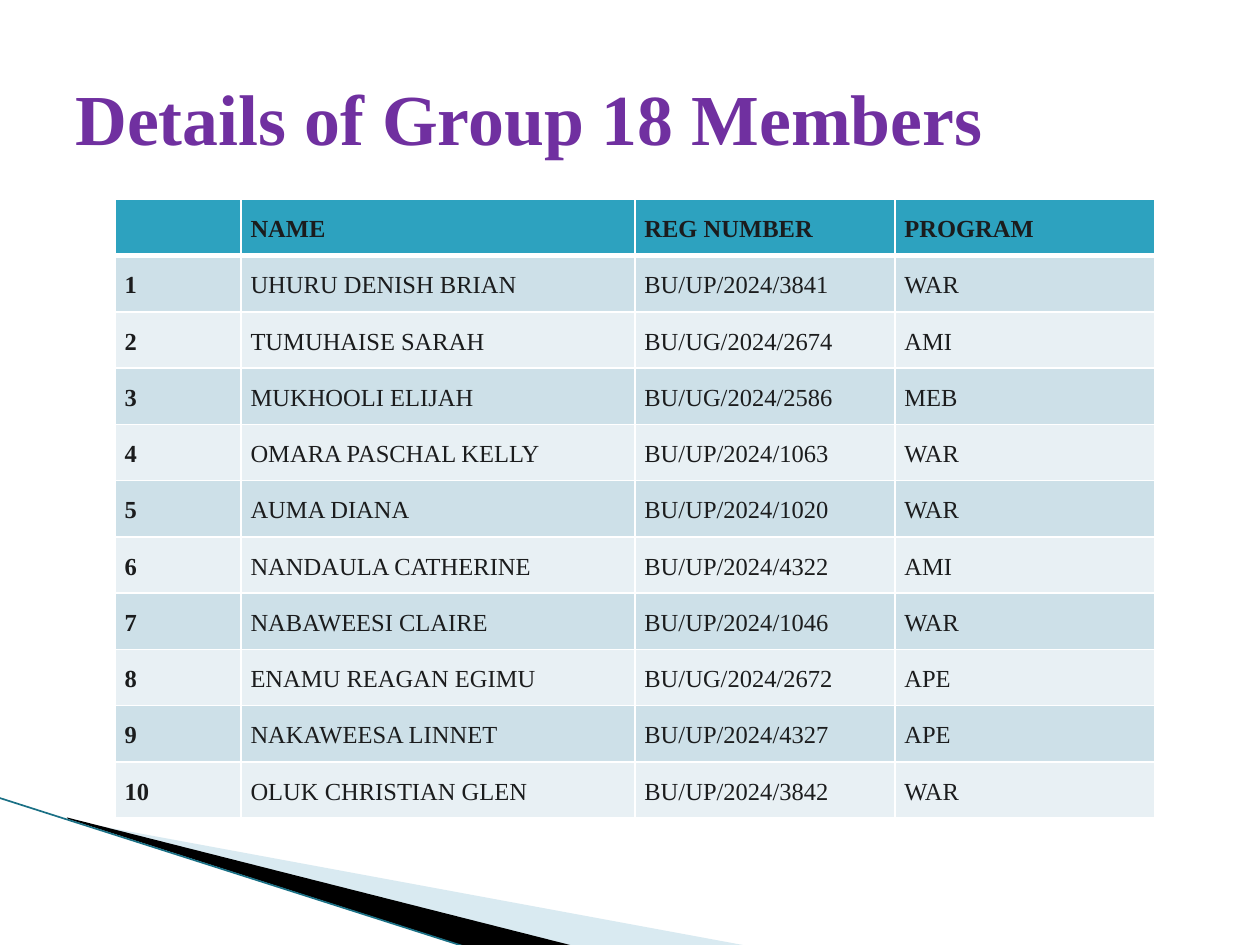
from dataclasses import dataclass

from lxml.etree import SubElement
from pptx import Presentation
from pptx.dml.color import RGBColor
from pptx.enum.shapes import MSO_CONNECTOR as Connector
from pptx.enum.text import MSO_ANCHOR as Anchor
from pptx.oxml import parse_xml
from pptx.oxml.ns import nsdecls, qn
from pptx.util import Cm, Pt


@dataclass(frozen=True)
class Theme:
    font: str = "Times New Roman"
    title_size: float = 41
    table_size: float = 14
    title: str = "7030A0"
    ink: str = "1B1C1D"
    header: str = "2DA2BF"
    bands: tuple = ("CDE0E8", "E8F0F4")
    rule: str = "FFFFFF"
    pale_wedge: str = "A0CBDC"
    dark_wedge: str = "000000"
    edge: str = "1A7085"


@dataclass(frozen=True)
class Box:
    left: float
    top: float
    width: float
    height: float


THEME = Theme()
HEADINGS = ("", "NAME", "REG NUMBER", "PROGRAM")
MEMBERS = (
    ("UHURU DENISH BRIAN", "BU/UP/2024/3841", "WAR"),
    ("TUMUHAISE SARAH", "BU/UG/2024/2674", "AMI"),
    ("MUKHOOLI ELIJAH", "BU/UG/2024/2586", "MEB"),
    ("OMARA PASCHAL KELLY", "BU/UP/2024/1063", "WAR"),
    ("AUMA DIANA", "BU/UP/2024/1020", "WAR"),
    ("NANDAULA CATHERINE", "BU/UP/2024/4322", "AMI"),
    ("NABAWEESI CLAIRE", "BU/UP/2024/1046", "WAR"),
    ("ENAMU REAGAN EGIMU", "BU/UG/2024/2672", "APE"),
    ("NAKAWEESA LINNET", "BU/UP/2024/4327", "APE"),
    ("OLUK CHRISTIAN GLEN", "BU/UP/2024/3842", "WAR"),
)
COLUMN_WIDTHS = (2.54, 7.94, 5.24, 5.24)


def write_text(frame, text, *, size, color, bold=False, spacing=1.0):
    paragraph = frame.paragraphs[0]
    paragraph.line_spacing = spacing
    run = paragraph.add_run()
    run.text = text
    run.font.name = THEME.font
    run.font.size = Pt(size)
    run.font.bold = bold
    run.font.color.rgb = RGBColor.from_string(color)


def set_frame(shape, frame):
    """Give a freeform a new frame while its outline stays in place."""
    shift_x = shape.left - Cm(frame.left)
    shift_y = shape.top - Cm(frame.top)
    shape.left, shape.top = Cm(frame.left), Cm(frame.top)
    shape.width, shape.height = Cm(frame.width), Cm(frame.height)
    outline = next(shape._element.iter(qn("a:path")))
    outline.set("w", str(shape.width))
    outline.set("h", str(shape.height))
    for point in outline.iter(qn("a:pt")):
        point.set("x", str(int(point.get("x")) + shift_x))
        point.set("y", str(int(point.get("y")) + shift_y))


def add_wedge(slide, box, points, frame, color, opacity=100):
    corners = [(Cm(box.left + x), Cm(box.top + y)) for x, y in points]
    builder = slide.shapes.build_freeform(*corners[0], scale=1.0)
    builder.add_line_segments(corners[1:], close=True)
    shape = builder.convert_to_shape()
    set_frame(shape, frame)
    shape.shadow.inherit = False
    shape.line.fill.background()
    shape.fill.solid()
    shape.fill.fore_color.rgb = RGBColor.from_string(color)
    if opacity < 100:
        color_node = shape.fill._xPr.find(qn("a:solidFill"))[0]
        SubElement(color_node, qn("a:alpha"), val=str(opacity * 1000))


def add_corner(slide, box):
    """Two thin wedges and an edge line across the lower left corner."""
    add_wedge(slide, box, ((1.4, 0.46), (15.13, 3), (11.58, 3), (1.4, 0.43)),
              Box(box.left + 1.98, box.top - 2.19, 10.57, 4.01),
              THEME.pale_wedge, opacity=40)
    add_wedge(slide, box, ((1.35, 0.4), (11.61, 3), (9.45, 3.02), (1.37, 0.43)),
              Box(box.left - 0.15, box.top, 10.57, 2.34), THEME.dark_wedge)
    edge = slide.shapes.add_connector(
        Connector.STRAIGHT, Cm(box.left - 0.03), Cm(box.top),
        Cm(box.left + 9.42), Cm(box.top + 3.02))
    edge.line.width = Pt(0.95)
    edge.line.color.rgb = RGBColor.from_string(THEME.edge)
    SubElement(edge._element.spPr, qn("a:effectLst"))


def add_title(slide, box, text):
    shape = slide.shapes.add_textbox(
        Cm(box.left), Cm(box.top), Cm(box.width), Cm(box.height))
    frame = shape.text_frame
    frame.word_wrap = True
    frame.vertical_anchor = Anchor.MIDDLE
    write_text(frame, text, size=THEME.title_size, color=THEME.title, bold=True)


def set_borders(cell, **widths):
    properties = cell._tc.get_or_add_tcPr()
    for position, (side, width) in enumerate(widths.items()):
        properties.insert(position, parse_xml(
            f'<a:ln{side} {nsdecls("a")} w="{Pt(width)}"><a:solidFill>'
            f'<a:srgbClr val="{THEME.rule}"/></a:solidFill></a:ln{side}>'))


def add_member_table(slide, box):
    numbered = [(str(number), *member) for number, member in enumerate(MEMBERS, 1)]
    rows = [HEADINGS, *numbered]
    table = slide.shapes.add_table(
        len(rows), len(HEADINGS), Cm(box.left), Cm(box.top),
        Cm(box.width), Cm(box.height)).table
    for column, width in zip(table.columns, COLUMN_WIDTHS):
        column.width = Cm(width)

    for row_index, values in enumerate(rows):
        table.rows[row_index].height = Cm(box.height / len(rows))
        is_header = row_index == 0
        fill = THEME.header if is_header else THEME.bands[(row_index - 1) % 2]
        # The header's thick lower rule also serves as the top of the first row
        borders = {"L": 1, "R": 1, "T": 1, "B": 3 if is_header else 1}
        if row_index == 1:
            del borders["T"]
        for column_index, value in enumerate(values):
            cell = table.cell(row_index, column_index)
            cell.fill.solid()
            cell.fill.fore_color.rgb = RGBColor.from_string(fill)
            set_borders(cell, **borders)
            cell.vertical_anchor = Anchor.MIDDLE
            cell.margin_left = cell.margin_right = Cm(0.19)
            cell.margin_top = cell.margin_bottom = 0
            if value:
                write_text(cell.text_frame, value, size=THEME.table_size,
                           color=THEME.ink, spacing=1.14,
                           bold=is_header or column_index == 0)


def main():
    presentation = Presentation()
    presentation.slide_width = Cm(25.4)
    presentation.slide_height = Cm(19.05)
    slide = presentation.slides.add_slide(presentation.slide_layouts[6])

    add_corner(slide, Box(0, 16.08, 15.13, 3))
    add_member_table(slide, Box(2.32, 4.02, sum(COLUMN_WIDTHS), 12.48))
    add_title(slide, Box(1.27, 0.76, 22.86, 3.18), "Details of Group 18 Members")

    presentation.save("out.pptx")


if __name__ == "__main__":
    main()
